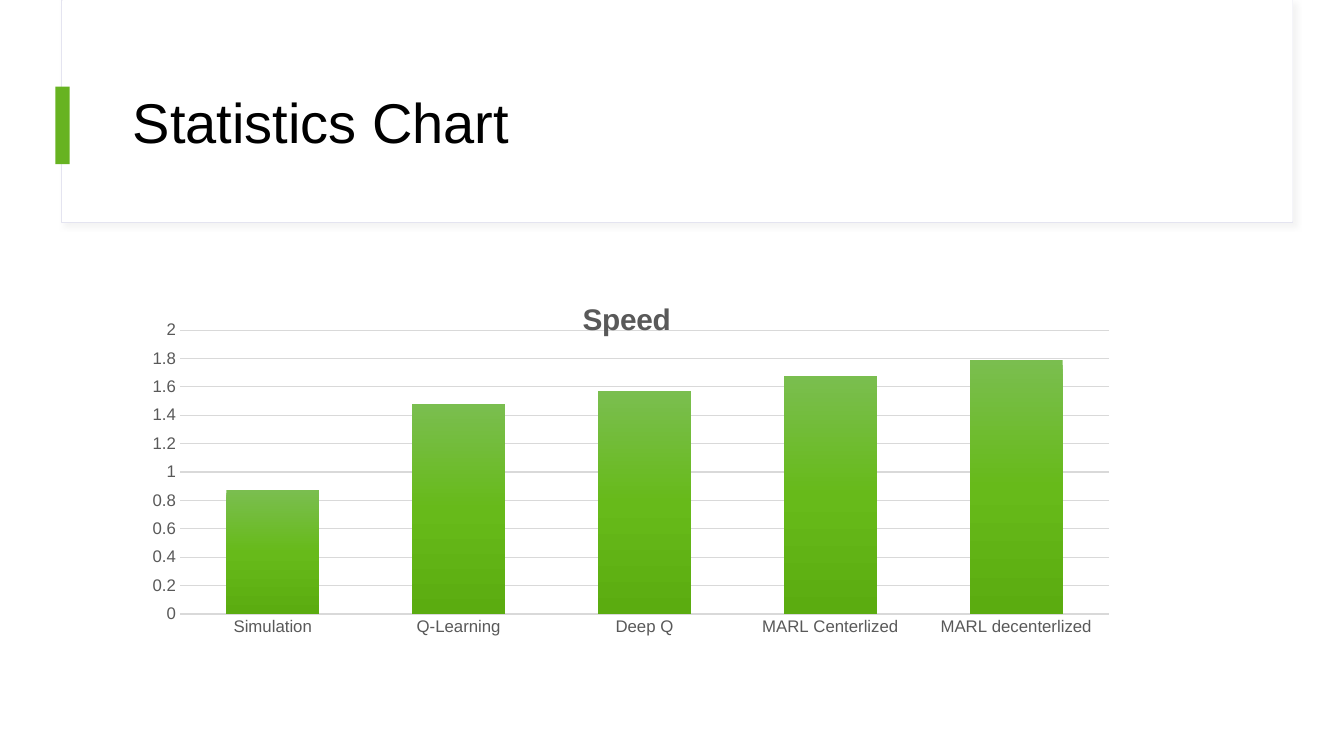
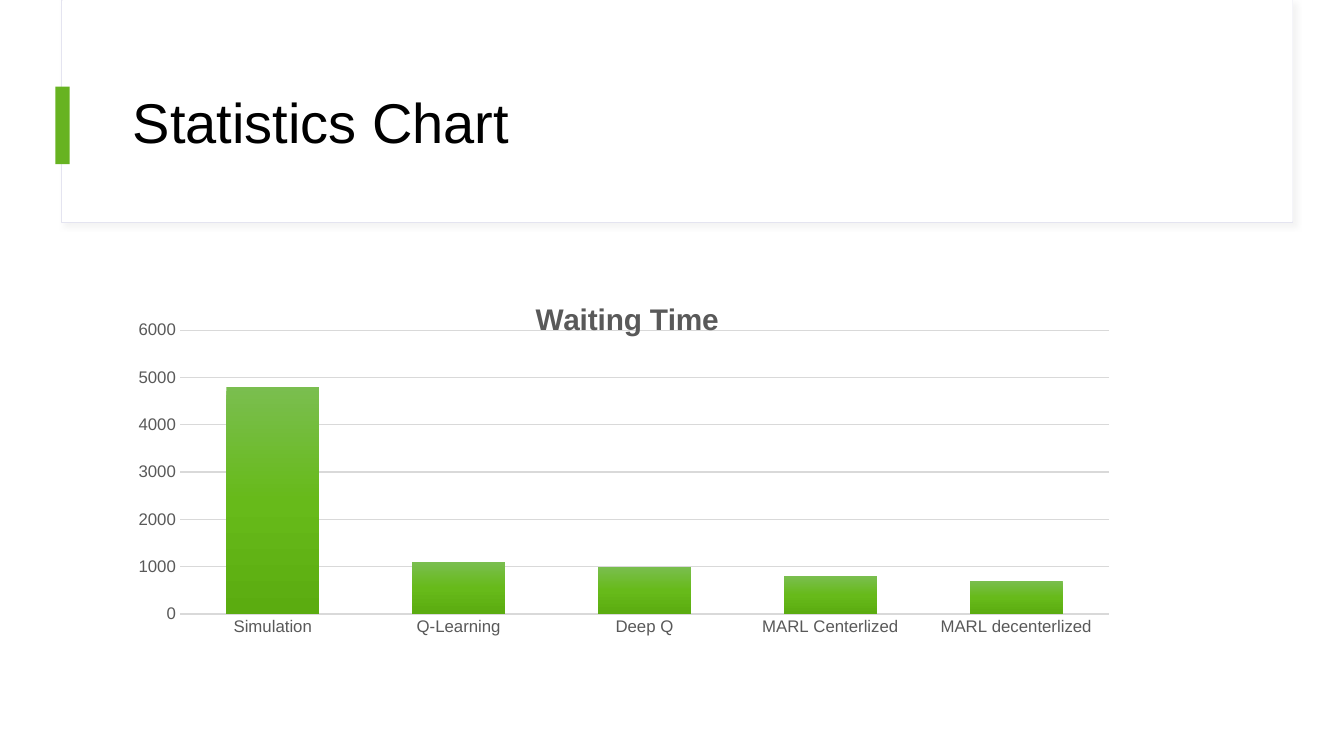
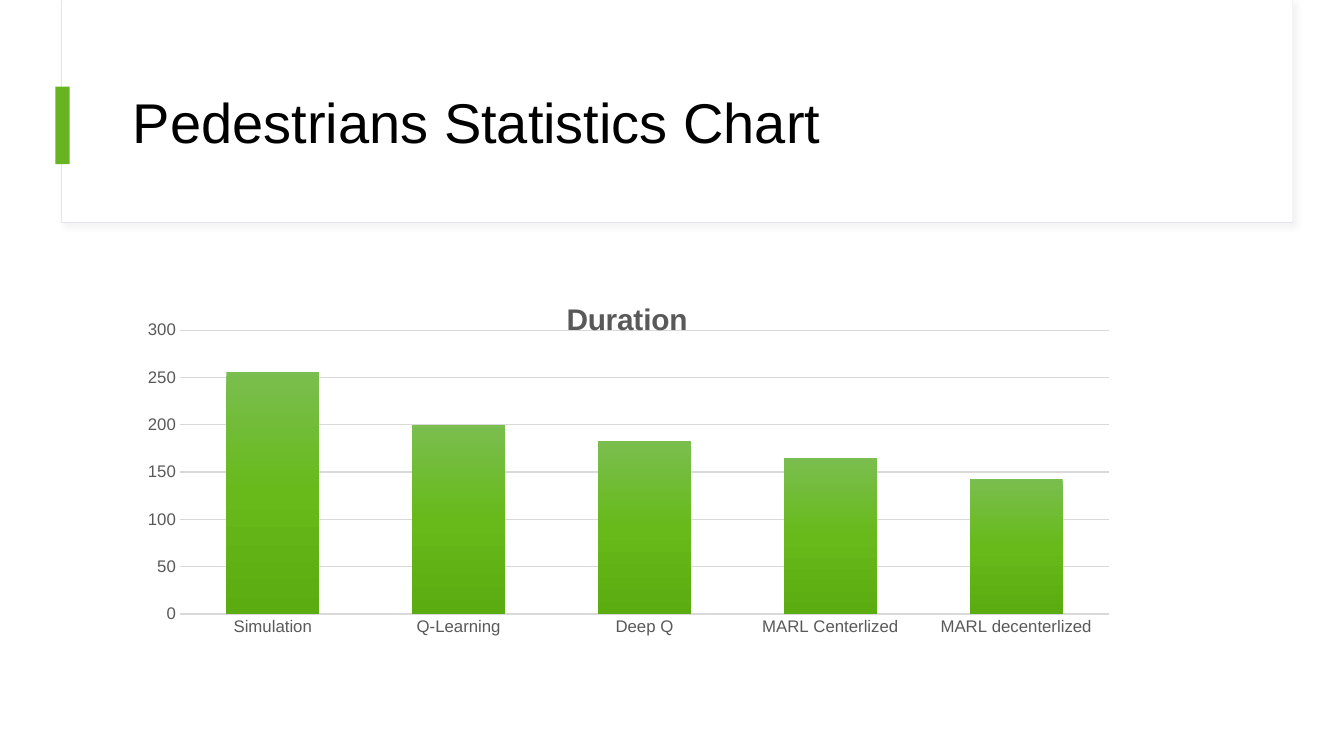
from lxml.etree import SubElement
from pptx import Presentation
from pptx.chart.data import CategoryChartData
from pptx.dml.color import RGBColor
from pptx.enum.chart import XL_CHART_TYPE, XL_TICK_MARK
from pptx.enum.shapes import MSO_SHAPE
from pptx.enum.text import MSO_ANCHOR
from pptx.oxml import parse_xml
from pptx.oxml.ns import nsdecls, qn
from pptx.util import Inches, Pt

CATEGORIES = ["Simulation", "Q-Learning", "Deep Q", "MARL Centerlized", "MARL decenterlized"]

# slide title, chart title, left edge of the chart title (share of chart width), values
SLIDES = [
    ("Statistics Chart", "Speed", 0.455, [0.87, 1.48, 1.57, 1.68, 1.79]),
    ("Statistics Chart", "Waiting Time", 0.408, [4800, 1100, 1000, 800, 700]),
    ("Pedestrians Statistics Chart", "Duration", 0.439, [256, 200, 183, 165, 143]),
]


def color(hex_text):
    return RGBColor.from_string(hex_text)


def manual_layout(**settings):
    """Build a c:layout element that fixes a chart part in place."""
    layout = parse_xml(f"<c:layout {nsdecls('c')}><c:manualLayout/></c:layout>")
    for name, value in settings.items():
        SubElement(layout[0], qn(f"c:{name}")).set("val", str(value))
    return layout


class Deck:
    FONT = "Arial"
    WHITE, BLACK, ACCENT = "FFFFFF", "000000", "67B321"
    FRAME, GRID, LABEL = "E4E4F0", "D9D9D9", "595959"
    BAR_GRADIENT = [(0, "7ABE4F"), (50, "67BA1A"), (100, "5BAC10")]

    def __init__(self):
        self.presentation = Presentation()
        self.presentation.slide_width = Inches(13.33)
        self.presentation.slide_height = Inches(7.5)
        self.slide = None

    def add_slide(self, title):
        self.slide = self.presentation.slides.add_slide(self.presentation.slide_layouts[6])
        frame = self.rectangle(0.61, 0, 12.21, 2.21, self.WHITE, self.FRAME)
        self.soft_shadow(frame)
        self.rectangle(0.62, 0, 12.2, 2.2, self.WHITE)
        self.rectangle(0.55, 0.86, 0.14, 0.77, self.ACCENT)
        self.title(title)

    def style_font(self, font, size, hex_text, bold=False):
        font.name = self.FONT
        font.size = Pt(size)
        font.bold = bold
        font.color.rgb = color(hex_text)

    def rectangle(self, left, top, width, height, fill, line=None):
        shape = self.slide.shapes.add_shape(
            MSO_SHAPE.RECTANGLE, Inches(left), Inches(top), Inches(width), Inches(height))
        shape.shadow.inherit = False
        shape.fill.solid()
        shape.fill.fore_color.rgb = color(fill)
        if line:
            shape.line.color.rgb = color(line)
            shape.line.width = Pt(0.75)
        else:
            shape.line.fill.background()
        return shape

    def soft_shadow(self, shape):
        effects = shape._element.spPr.find(qn("a:effectLst"))
        effects.append(parse_xml(
            f'<a:outerShdw {nsdecls("a")} blurRad="{Pt(4)}" dist="{Pt(3)}" dir="2700000">'
            f'<a:srgbClr val="{self.GRID}"><a:alpha val="30000"/></a:srgbClr></a:outerShdw>'))

    def title(self, text):
        box = self.slide.shapes.add_textbox(Inches(1.22), Inches(0.6), Inches(11.12), Inches(1.29))
        text_frame = box.text_frame
        text_frame.word_wrap = True
        text_frame.vertical_anchor = MSO_ANCHOR.MIDDLE
        text_frame.text = text
        paragraph = text_frame.paragraphs[0]
        paragraph.line_spacing = 0.9
        self.style_font(paragraph.runs[0].font, 40, self.BLACK)

    def column_chart(self, title, title_left, values):
        data = CategoryChartData()
        data.categories = CATEGORIES
        data.add_series("Series 1", values)
        chart = self.slide.shapes.add_chart(
            XL_CHART_TYPE.COLUMN_CLUSTERED,
            Inches(1.22), Inches(2.71), Inches(9.9), Inches(4.19), data).chart
        self.style_font(chart.font, 10, self.BLACK)
        chart.has_legend = False
        self.chart_title(chart, title, title_left)

        plot = chart.plots[0]
        plot.gap_width = 100
        plot.overlap = -24
        plot.vary_by_categories = False
        self.gradient(plot.series[0])
        plot_area = chart._chartSpace.chart.plotArea
        for layout in plot_area.findall(qn("c:layout")):
            plot_area.remove(layout)
        plot_area.insert(0, manual_layout(
            layoutTarget="inner", xMode="edge", yMode="edge",
            x=0.057, y=0.135, w=0.931, h=0.672))

        for axis in (chart.category_axis, chart.value_axis):
            axis.major_tick_mark = axis.minor_tick_mark = XL_TICK_MARK.NONE
            self.style_font(axis.tick_labels.font, 12, self.LABEL)
        self.axis_line(chart.category_axis.format.line, 1)
        chart.value_axis.format.line.fill.background()
        self.axis_line(chart.value_axis.major_gridlines.format.line, 0.75)

    def axis_line(self, line, width):
        line.color.rgb = color(self.GRID)
        line.width = Pt(width)

    def chart_title(self, chart, text, left):
        chart.has_title = True
        title = chart.chart_title
        title.text_frame.text = text
        self.style_font(title.text_frame.paragraphs[0].runs[0].font, 21.3, self.LABEL, bold=True)
        element = title._element
        for layout in element.findall(qn("c:layout")):
            element.remove(layout)
        element.find(qn("c:tx")).addnext(
            manual_layout(xMode="edge", yMode="edge", x=left, y=0.052))

    def gradient(self, series):
        stops = "".join(
            f'<a:gs pos="{position * 1000}"><a:srgbClr val="{hex_text}"/></a:gs>'
            for position, hex_text in self.BAR_GRADIENT)
        series.format.line.fill.background()
        properties = series._element.find(qn("c:spPr"))
        properties.insert(0, parse_xml(
            f'<a:gradFill {nsdecls("a")} rotWithShape="1"><a:gsLst>{stops}</a:gsLst>'
            '<a:lin ang="5400000" scaled="0"/></a:gradFill>'))


def main():
    deck = Deck()
    for slide_title, chart_title, title_left, values in SLIDES:
        deck.add_slide(slide_title)
        deck.column_chart(chart_title, title_left, values)
    deck.presentation.save("out.pptx")


if __name__ == "__main__":
    main()
